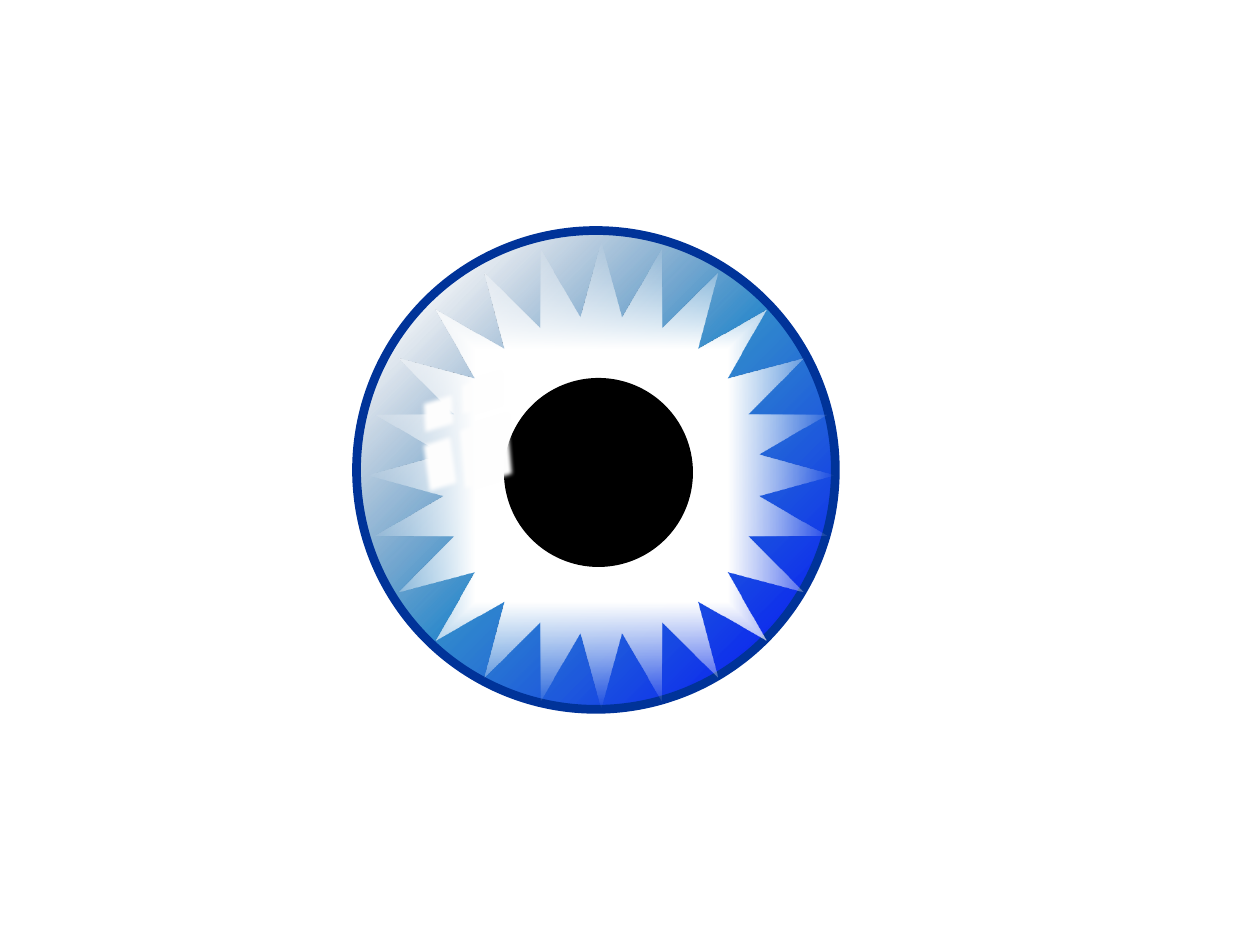
"""Draw a blue eye with a rayed iris, a pupil and window glints."""
from lxml import etree
from pptx import Presentation
from pptx.dml.color import RGBColor
from pptx.enum.shapes import MSO_SHAPE
from pptx.oxml.ns import qn
from pptx.util import Inches, Pt

OVAL = MSO_SHAPE.OVAL
STAR = MSO_SHAPE.STAR_24_POINT
PANE = MSO_SHAPE.FLOWCHART_DATA

IRIS = (2.83, 1.83, 3.8, 3.8)
RAYS = (2.92, 1.92, 3.7, 3.7)
PUPIL = (4, 3, 1.5, 1.5)
GLINTS = [
    (3.57, 3.32, 0.57, 0.53),
    (3.59, 2.98, 0.46, 0.3),
    (3.31, 3.46, 0.37, 0.44),
    (3.29, 3.13, 0.38, 0.3),
]
GLINT_TILT = 342.6
GLINT_BLUR = Pt(2.5)
IRIS_STOPS = [(11, "1F497D", 75), (11, "1F497D", 0),
              (50, "0070C0", 80), (100, "0000FF", 100)]
RAY_STOPS = [(20, "FFFFFF", 100), (54, "FFFFFF", 100), (100, "FFFFFF", 0)]


def color(value):
    return RGBColor.from_string(value)


def child(parent, tag, **attrs):
    return etree.SubElement(parent, qn(tag), {k: str(v) for k, v in attrs.items()})


def add_part(s, kind, box, fill=None):
    sp = s.shapes.add_shape(kind, *map(Inches, box))
    sp.shadow.inherit = False
    sp.line.fill.background()
    if fill:
        sp.fill.solid()
        sp.fill.fore_color.rgb = color(fill)
    return sp


def gradient(sp, stops, shade, focus):
    sp.fill.gradient()
    grad = sp._element.spPr.find(qn("a:gradFill"))
    for old in list(grad):
        grad.remove(old)
    stop_list = child(grad, "a:gsLst")
    for pos, rgb, alpha in stops:
        stop = child(stop_list, "a:gs", pos=pos * 1000)
        tone = child(stop, "a:srgbClr", val=rgb)
        if alpha < 100:
            child(tone, "a:alpha", val=alpha * 1000)
    route = child(grad, "a:path", path=shade)
    child(route, "a:fillToRect", **{k: v * 1000 for k, v in zip("ltrb", focus)})


prs = Presentation()
prs.slide_width, prs.slide_height = Inches(10), Inches(7.5)
s = prs.slides.add_slide(prs.slide_layouts[6])

iris = add_part(s, OVAL, IRIS)
gradient(iris, IRIS_STOPS, "circle", (0, 0, 100, 100))
iris.line.color.rgb = color("003399")
iris.line.width = Pt(5)

rays = add_part(s, STAR, RAYS)
rays.adjustments[0] = 0.34
gradient(rays, RAY_STOPS, "shape", (50, 50, 50, 50))

add_part(s, OVAL, PUPIL, "000000")

for box in GLINTS:
    glint = add_part(s, PANE, box, "FFFFFF")
    glint.rotation = GLINT_TILT
    effects = glint._element.spPr.find(qn("a:effectLst"))
    child(effects, "a:softEdge", rad=GLINT_BLUR)

prs.save("out.pptx")
